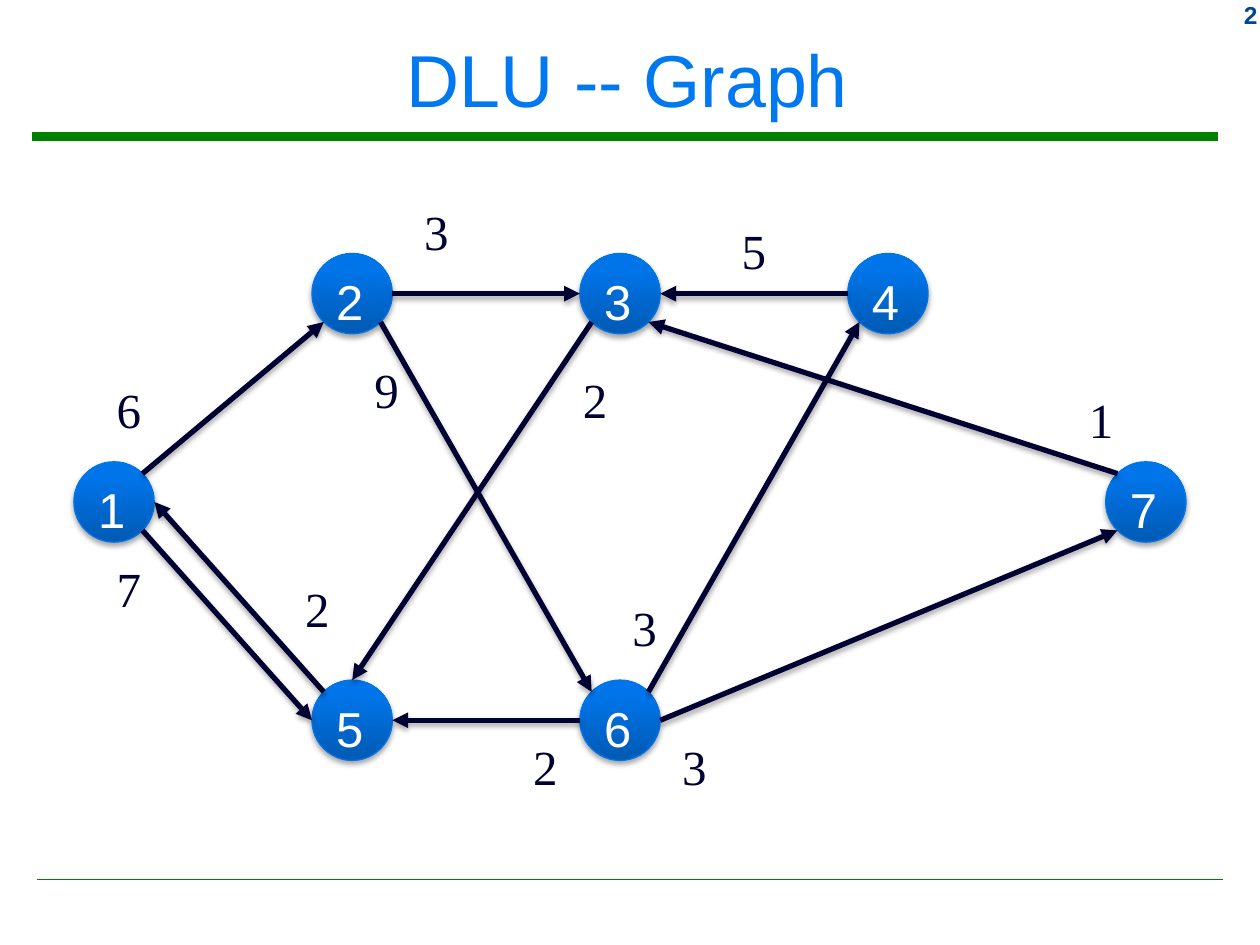
"""Build a slide with a weighted directed graph of seven nodes."""
import copy
import math

import lxml.etree
import pptx
import pptx.dml.color
import pptx.enum.shapes
import pptx.enum.text
import pptx.oxml.ns
import pptx.util

Cm, Pt = pptx.util.Cm, pptx.util.Pt
RGB = pptx.dml.color.RGBColor.from_string
qn = pptx.oxml.ns.qn
Align = pptx.enum.text.PP_ALIGN
Anchor = pptx.enum.text.MSO_ANCHOR
Shape = pptx.enum.shapes.MSO_SHAPE

HUES = {
    "rule": "008000", "page": "004992", "title": "0078F0", "ink": "000033",
    "rim": "0075EB", "low": "005AB3", "mid": "0074E9", "high": "0075EA",
    "node": "FFFFFF",
}
SHADE = (
    '<a:effectLst xmlns:a="http://schemas.openxmlformats.org/drawingml/2006/main">'
    '<a:outerShdw blurRad="40000" dist="23000" dir="5400000" rotWithShape="0">'
    '<a:srgbClr val="000000"><a:alpha val="35000"/></a:srgbClr>'
    '</a:outerShdw></a:effectLst>'
)

deck = pptx.Presentation()
deck.slide_width, deck.slide_height = Cm(25.4), Cm(19.05)
slide = deck.slides.add_slide(deck.slide_layouts[6])
shapes = slide.shapes


def write(shape, text, size, face, hue, align=Align.LEFT, anchor=Anchor.TOP, wrap=True):
    frame = shape.text_frame
    frame.word_wrap = wrap
    frame.vertical_anchor = anchor
    par = frame.paragraphs[0]
    par.text = text
    par.alignment = align
    par.font.size, par.font.name = Pt(size), face
    par.font.color.rgb = RGB(HUES[hue])
    return par


def draw(start, end, hue, width, arrow=False):
    line = shapes.add_connector(
        pptx.enum.shapes.MSO_CONNECTOR.STRAIGHT, *map(Cm, start + end))
    line.line.color.rgb = RGB(HUES[hue])
    line.line.width = Pt(width)
    props = line._element.spPr
    if arrow:
        tail = lxml.etree.SubElement(props.find(qn("a:ln")), qn("a:tailEnd"))
        tail.set("type", "triangle")
        props.append(pptx.oxml.parse_xml(SHADE))
    else:
        lxml.etree.SubElement(props, qn("a:effectLst"))


draw((0.64, 2.75), (24.56, 2.75), "rule", 5.25)
draw((0.74, 17.73), (24.66, 17.73), "rule", 1)

page = shapes.add_textbox(Cm(23.3), Cm(-0.13), Cm(2.3), Cm(0.85))
write(page, "2", 14, "Arial", "page", Align.RIGHT).font.bold = True
title = shapes.add_textbox(Cm(0.2), Cm(0.23), Cm(24.9), Cm(2.7))
write(title, "DLU -- Graph", 42, "Arial", "title", Align.CENTER, Anchor.MIDDLE)

radius = 0.81
top, middle, bottom = 5.92, 10.12, 14.52
nodes = {
    1: (2.3, middle), 2: (7.1, top), 5: (7.1, bottom), 3: (12.5, top),
    6: (12.5, bottom), 4: (17.9, top), 7: (23.1, middle),
}
stops = [(0, "low"), (0.8, "mid"), (1, "high")]
for name, (x, y) in nodes.items():
    node = shapes.add_shape(
        Shape.OVAL, Cm(x - radius), Cm(y - radius), Cm(2 * radius), Cm(2 * radius))
    node.fill.gradient()
    node.fill.gradient_angle = 90
    props = node._element.spPr
    ramp = props.find(".//" + qn("a:gsLst"))
    ramp.append(copy.deepcopy(ramp[0]))
    for stop, (place, hue) in zip(node.fill.gradient_stops, stops):
        stop.position = place
        stop.color.rgb = RGB(HUES[hue])
    node.line.color.rgb = RGB(HUES["rim"])
    node.line.width = Pt(0.75)
    props.append(pptx.oxml.parse_xml(SHADE))
    write(node, str(name), 28, "Arial", "node")

edges = [
    (1, 45, 2, 225), (1, 315, 5, 180), (6, 180, 5, 0), (6, 45, 4, 225),
    (3, 225, 5, 90), (6, 0, 7, 225), (4, 180, 3, 0), (2, 315, 6, 135),
    (7, 135, 3, 315), (5, 135, 1, 0), (2, 0, 3, 180),
]
for tail, leave, head, reach in edges:
    ends = []
    for name, turn in ((tail, leave), (head, reach)):
        x, y = nodes[name]
        angle = math.radians(turn)
        ends.append((x + radius * math.cos(angle), y - radius * math.sin(angle)))
    draw(*ends, "ink", 3, arrow=True)

weights = [
    ("6", 2.1, 7.52), ("2", 10.5, 14.73), ("7", 2.1, 11.13), ("2", 11.5, 7.32),
    ("5", 14.7, 4.32), ("9", 7.3, 7.13), ("1", 21.7, 7.73), ("3", 12.5, 11.92),
    ("3", 13.5, 14.73), ("2", 5.9, 11.53), ("3", 8.3, 3.93),
]
for text, x, y in weights:
    label = shapes.add_textbox(Cm(x), Cm(y), Cm(1.01), Cm(1.45))
    write(label, text, 28, "Times New Roman", "ink", wrap=False)

deck.save("out.pptx")
